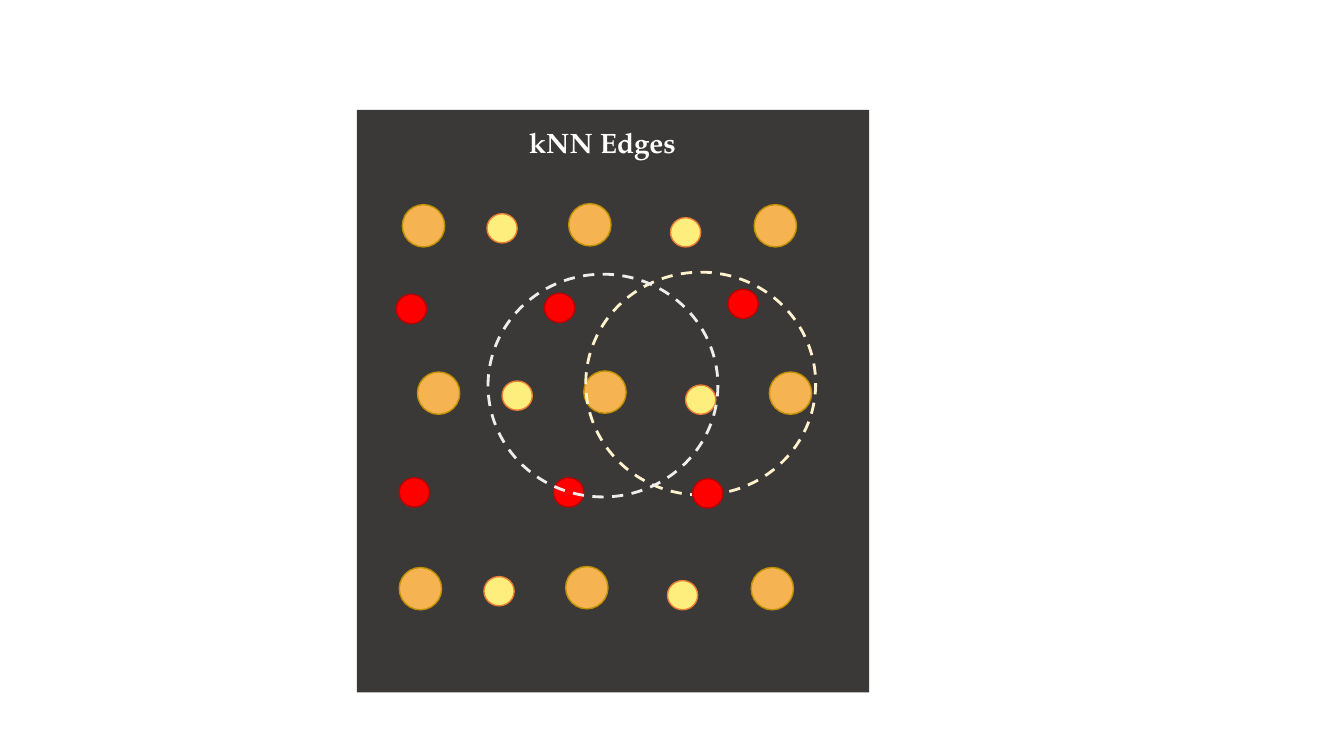
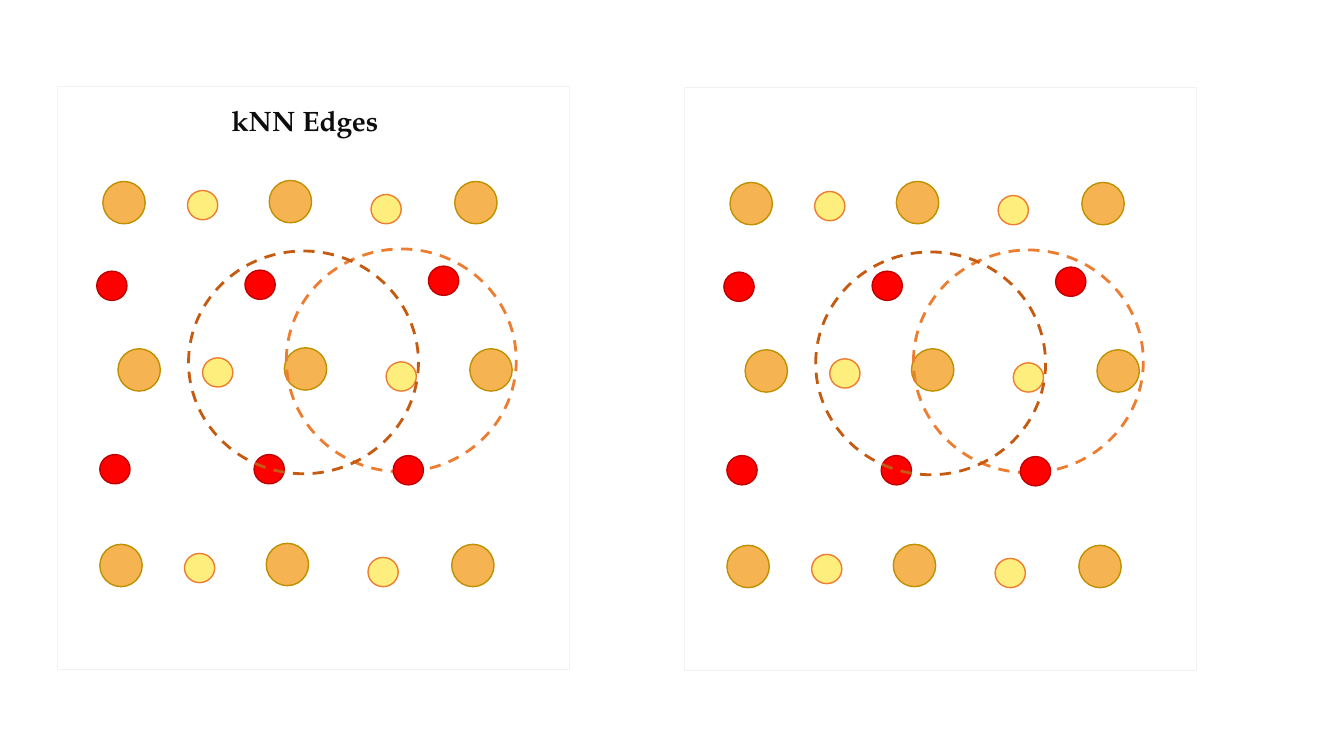
from pptx import Presentation
from pptx.dml.color import RGBColor
from pptx.enum.dml import MSO_LINE
from pptx.enum.shapes import MSO_SHAPE
from pptx.enum.text import MSO_ANCHOR, MSO_AUTO_SIZE, PP_ALIGN
from pptx.util import Inches, Pt

WHITE = RGBColor(0xFF, 0xFF, 0xFF)
BLACK = RGBColor(0x0D, 0x0D, 0x0D)
DARK = RGBColor(0x3B, 0x38, 0x38)
PALE = RGBColor(0xF2, 0xF2, 0xF2)
SILVER = RGBColor(0xED, 0xED, 0xED)
CREAM = RGBColor(0xFF, 0xF2, 0xCC)
RED = RGBColor(0xFF, 0x00, 0x00)
CRIMSON = RGBColor(0xC0, 0x00, 0x00)
YELLOW = RGBColor(0xFE, 0xEE, 0x7D)
ORANGE = RGBColor(0xED, 0x7D, 0x31)
AMBER = RGBColor(0xF6, 0xB3, 0x52)
OLIVE = RGBColor(0xBF, 0x90, 0x00)
RUST = RGBColor(0xC5, 0x5A, 0x11)

FONT = "TeX Gyre Pagella"
TITLE = "kNN Edges"
PANEL = (5.08, 5.78)
RING = (2.28, 2.21)

NODES = {
    "large": ((0.42, 0.42), AMBER, OLIVE),
    "small": ((0.3, 0.29), YELLOW, ORANGE),
    "red": ((0.3, 0.29), RED, CRIMSON),
}
ROW = [
    ("large", 0, 0.01), ("small", 0.84, 0.1), ("large", 1.65, 0),
    ("small", 2.66, 0.14), ("large", 3.49, 0.01),
]
STARTS = [(0.45, 0.93), (0.6, 2.59), (0.42, 4.53)]
REDS = [(0.39, 1.83), (1.86, 1.82), (3.68, 1.78), (0.42, 3.65), (1.95, 3.65)]
FRONT = (3.33, 3.66)
LEFT, RIGHT = (1.3, 1.63), (2.27, 1.61)

NIGHT = {"fill": DARK, "edge": None, "left": SILVER, "right": CREAM}
DAY = {"fill": WHITE, "edge": PALE, "left": RUST, "right": ORANGE}
SLIDES = [
    {"theme": NIGHT, "ink": WHITE, "title": (5.14, 1.19), "panels": [(3.54, 1.09)]},
    {"theme": DAY, "ink": BLACK, "title": (2.19, 0.98),
     "panels": [(0.57, 0.86), (6.79, 0.87)]},
]


def place(shape, spot, size):
    shape.left, shape.top = map(Inches, spot)
    shape.width, shape.height = map(Inches, size)


def draw(slide, kind, spot, size, fill, edge, weight=1):
    shape = slide.shapes.add_shape(kind, *map(Inches, (*spot, *size)))
    shape.shadow.inherit = False
    for paint, color in ((shape.fill, fill), (shape.line.fill, edge)):
        if color is None:
            paint.background()
        else:
            paint.solid()
            paint.fore_color.rgb = color
    if edge is not None:
        shape.line.width = Pt(weight)
    return shape


def draw_graph(slide, origin, theme):
    def shift(spot):
        return origin[0] + spot[0], origin[1] + spot[1]

    def node(kind, spot):
        draw(slide, MSO_SHAPE.OVAL, shift(spot), *NODES[kind])

    def ring(spot, color):
        oval = draw(slide, MSO_SHAPE.OVAL, shift(spot), RING, None, color, 2)
        oval.line.dash_style = MSO_LINE.DASH

    draw(slide, MSO_SHAPE.RECTANGLE, origin, PANEL, theme["fill"], theme["edge"])
    for x, y in STARTS:
        for kind, dx, dy in ROW:
            node(kind, (x + dx, y + dy))
    for spot in REDS:
        node("red", spot)
    ring(RIGHT, theme["right"])
    node("red", FRONT)
    ring(LEFT, theme["left"])


def set_title(slide, spot, ink):
    title = slide.shapes.title
    place(title, spot, (1.67, 0.44))
    frame = title.text_frame
    frame.text = TITLE
    frame.word_wrap = False
    frame.auto_size = MSO_AUTO_SIZE.SHAPE_TO_FIT_TEXT
    frame.vertical_anchor = MSO_ANCHOR.TOP
    line = frame.paragraphs[0]
    line.alignment = PP_ALIGN.CENTER
    line.font.name = FONT
    line.font.size = Pt(20)
    line.font.bold = True
    line.font.color.rgb = ink
    slide.shapes._spTree.append(title._element)


def main():
    deck = Presentation()
    deck.slide_width, deck.slide_height = Inches(13.33), Inches(7.5)
    for data in SLIDES:
        slide = deck.slides.add_slide(deck.slide_layouts[5])
        for origin in data["panels"]:
            draw_graph(slide, origin, data["theme"])
        set_title(slide, data["title"], data["ink"])
    deck.save("out.pptx")


if __name__ == "__main__":
    main()
